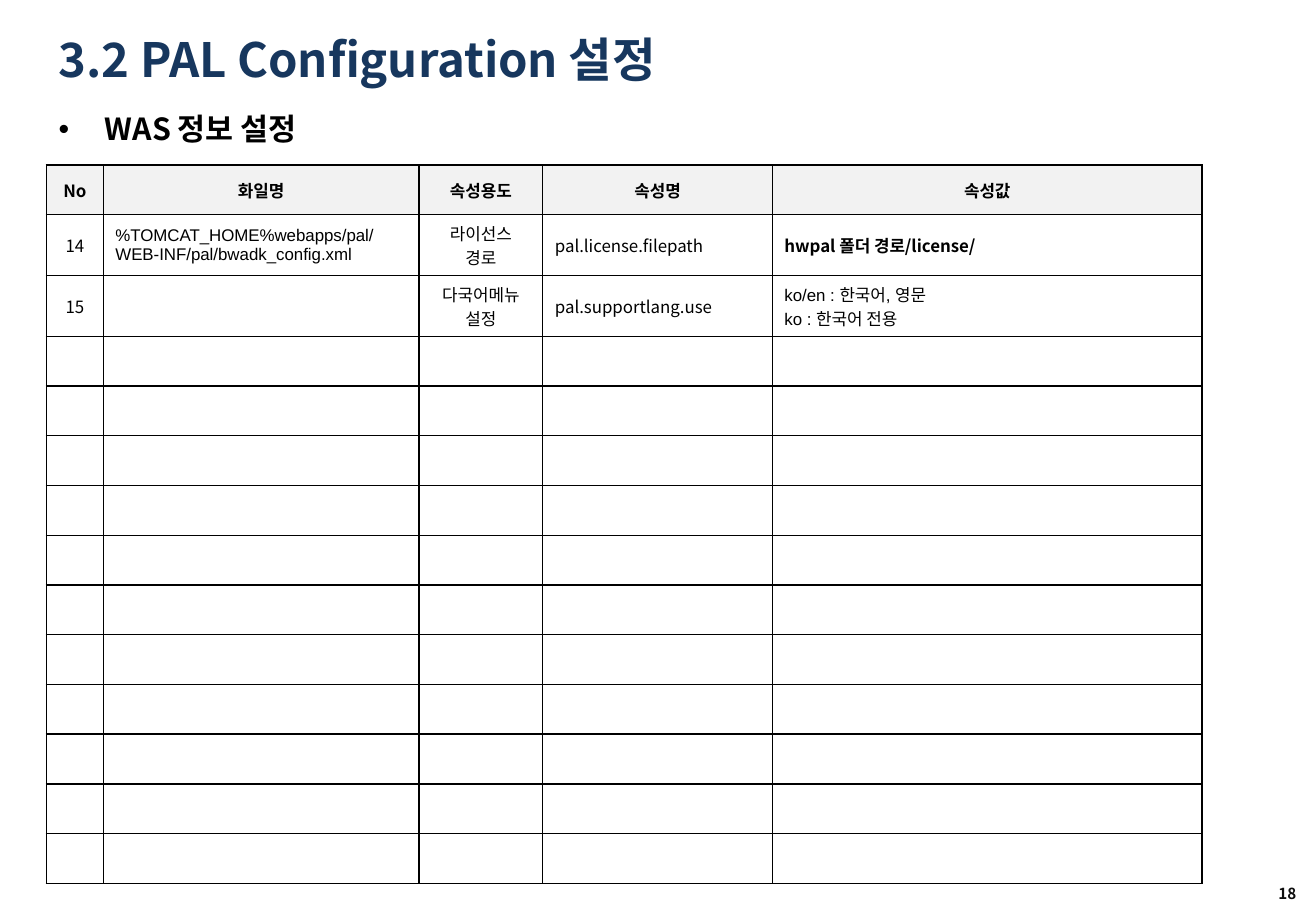
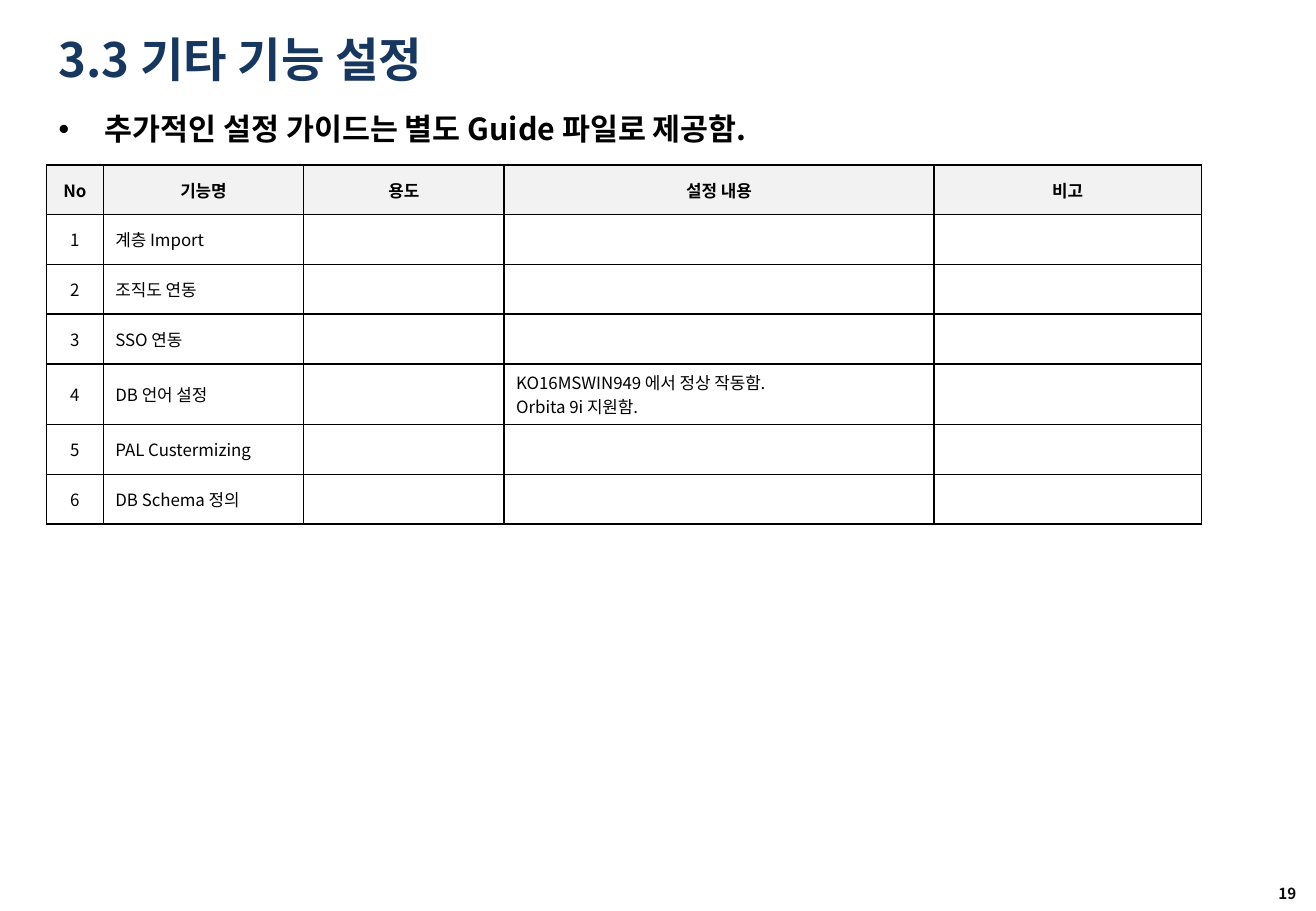
from lxml import etree
from pptx import Presentation
from pptx.dml.color import RGBColor
from pptx.enum.text import MSO_ANCHOR, MSO_AUTO_SIZE, PP_ALIGN
from pptx.oxml.ns import qn
from pptx.util import Cm, Pt

LEFT, CENTER, RIGHT = PP_ALIGN.LEFT, PP_ALIGN.CENTER, PP_ALIGN.RIGHT
MIDDLE = MSO_ANCHOR.MIDDLE
KOREAN, LATIN = "Noto Sans CJK KR", "Arial"
COLORS = {"title": "17375E", "text": "000000", "page": "0D0D0D",
          "header": "F2F2F2", "border": "000000"}

FIRST_PAGE = 18
MARGIN = 0.97
TITLE_BOX = (MARGIN, 0.53, 24.77, 1.4)
BODY_BOX = (MARGIN, 2.18, 25.17, 1.14)
PAGE_BOX = (20.98, 18.16, 6.43, 1.04)
TABLE_TOP, ROW_HEIGHT = 3.45, 1.04
BULLET_INDENT = 0.97

SLIDES = [
    {
        "title": "3.2 PAL Configuration 설정",
        "body": "WAS 정보 설정",
        "widths": [1.19, 6.6, 2.59, 4.8, 8.99],
        "centered": {0, 2},
        "header": ["No", "화일명", "속성용도", "속성명", "속성값"],
        "rows": [
            ["14", "%TOMCAT_HOME%webapps/pal/WEB-INF/pal/bwadk_config.xml",
             "라이선스\n경로", "pal.license.filepath", "hwpal 폴더 경로/license/"],
            ["15", "", "다국어메뉴 설정", "pal.supportlang.use",
             "ko/en : 한국어, 영문\nko : 한국어 전용"],
        ],
        "empty_rows": 11,
        "bold": {(1, 4)},
        "latin": {(1, 1), (2, 4)},
    },
    {
        "title": "3.3 기타 기능 설정",
        "body": "추가적인 설정 가이드는 별도 Guide 파일로 제공함.",
        "widths": [1.19, 4.19, 4.19, 8.99, 5.59],
        "centered": {0},
        "header": ["No", "기능명", "용도", "설정 내용", "비고"],
        "rows": [
            ["1", "계층 Import", "", "", ""],
            ["2", "조직도 연동", "", "", ""],
            ["3", "SSO 연동", "", "", ""],
            ["4", "DB 언어 설정", "",
             "KO16MSWIN949 에서 정상 작동함.\nOrbita 9i 지원함.", ""],
            ["5", "PAL Custermizing", "", "", ""],
            ["6", "DB Schema 정의", "", "", ""],
        ],
        "empty_rows": 0,
        "bold": set(),
        "latin": set(),
    },
]


def rgb(name):
    return RGBColor.from_string(COLORS[name])


def place(sp, box):
    sp.left, sp.top, sp.width, sp.height = (Cm(v) for v in box)


def write(tf, text, size, color="text", bold=True, align=LEFT, font=KOREAN):
    tf.text = text
    for p in tf.paragraphs:
        p.alignment = align
        for r in p.runs:
            r.font.size, r.font.bold = Pt(size), bold
            r.font.color.rgb = rgb(color)
            r.font.name = font
            etree.SubElement(r.font._element, qn("a:ea"), typeface=KOREAN)
        if not p.runs:
            etree.SubElement(p._p, qn("a:endParaRPr"), sz=str(size * 100))


def add_bullet(p):
    pPr = p._p.get_or_add_pPr()
    indent = Cm(BULLET_INDENT)
    pPr.set("marL", str(indent))
    pPr.set("indent", str(-indent))
    etree.SubElement(pPr, qn("a:buFont"), typeface=LATIN)
    etree.SubElement(pPr, qn("a:buChar"), char="•")
    p.space_before = Pt(0)


def add_borders(cell):
    tcPr = cell._tc.get_or_add_tcPr()
    for side in ("lnL", "lnR", "lnT", "lnB"):
        ln = etree.SubElement(tcPr, qn(f"a:{side}"), w=str(Pt(1)))
        fill = etree.SubElement(ln, qn("a:solidFill"))
        etree.SubElement(fill, qn("a:srgbClr"), val=COLORS["border"])


def add_grid(slide, data):
    widths = data["widths"]
    blank = [[""] * len(widths)] * data["empty_rows"]
    rows = [data["header"]] + data["rows"] + blank
    frame = slide.shapes.add_table(
        len(rows), len(widths), Cm(MARGIN), Cm(TABLE_TOP),
        Cm(sum(widths)), Cm(ROW_HEIGHT * len(rows)))
    table = frame.table
    table.first_row = table.horz_banding = False
    for column, width in zip(table.columns, widths):
        column.width = Cm(width)
    for i, row in enumerate(rows):
        table.rows[i].height = Cm(ROW_HEIGHT)
        for j, text in enumerate(row):
            cell = table.cell(i, j)
            is_header = i == 0
            add_borders(cell)
            if is_header:
                cell.fill.solid()
                cell.fill.fore_color.rgb = rgb("header")
            else:
                cell.fill.background()
            cell.vertical_anchor = MIDDLE
            write(cell.text_frame, text, 10,
                  bold=is_header or (i, j) in data["bold"],
                  align=CENTER if is_header or j in data["centered"] else LEFT,
                  font=LATIN if (i, j) in data["latin"] else KOREAN)


def add_page_number(slide, number):
    sp = slide.shapes.add_textbox(*(Cm(v) for v in PAGE_BOX))
    tf = sp.text_frame
    tf.word_wrap = True
    tf.vertical_anchor = MIDDLE
    tf.margin_left = tf.margin_right = Cm(0.3)
    tf.margin_top = tf.margin_bottom = Cm(0.15)
    write(tf, str(number), 9, "page", align=RIGHT)


def add_slide(prs, layout, data, number):
    slide = prs.slides.add_slide(layout)
    title, body = slide.placeholders
    for sp, box in ((title, TITLE_BOX), (body, BODY_BOX)):
        place(sp, box)
        sp.text_frame.auto_size = MSO_AUTO_SIZE.NONE
    title.text_frame.vertical_anchor = MIDDLE
    write(title.text_frame, data["title"], 28, "title")
    write(body.text_frame, data["body"], 18)
    add_bullet(body.text_frame.paragraphs[0])
    add_grid(slide, data)
    add_page_number(slide, number)


def main():
    prs = Presentation()
    prs.slide_width, prs.slide_height = Cm(27.52), Cm(19.05)
    layout = prs.slide_layouts.get_by_name("Title and Content")
    for number, data in enumerate(SLIDES, FIRST_PAGE):
        add_slide(prs, layout, data, number)
    prs.save("out.pptx")


if __name__ == "__main__":
    main()
